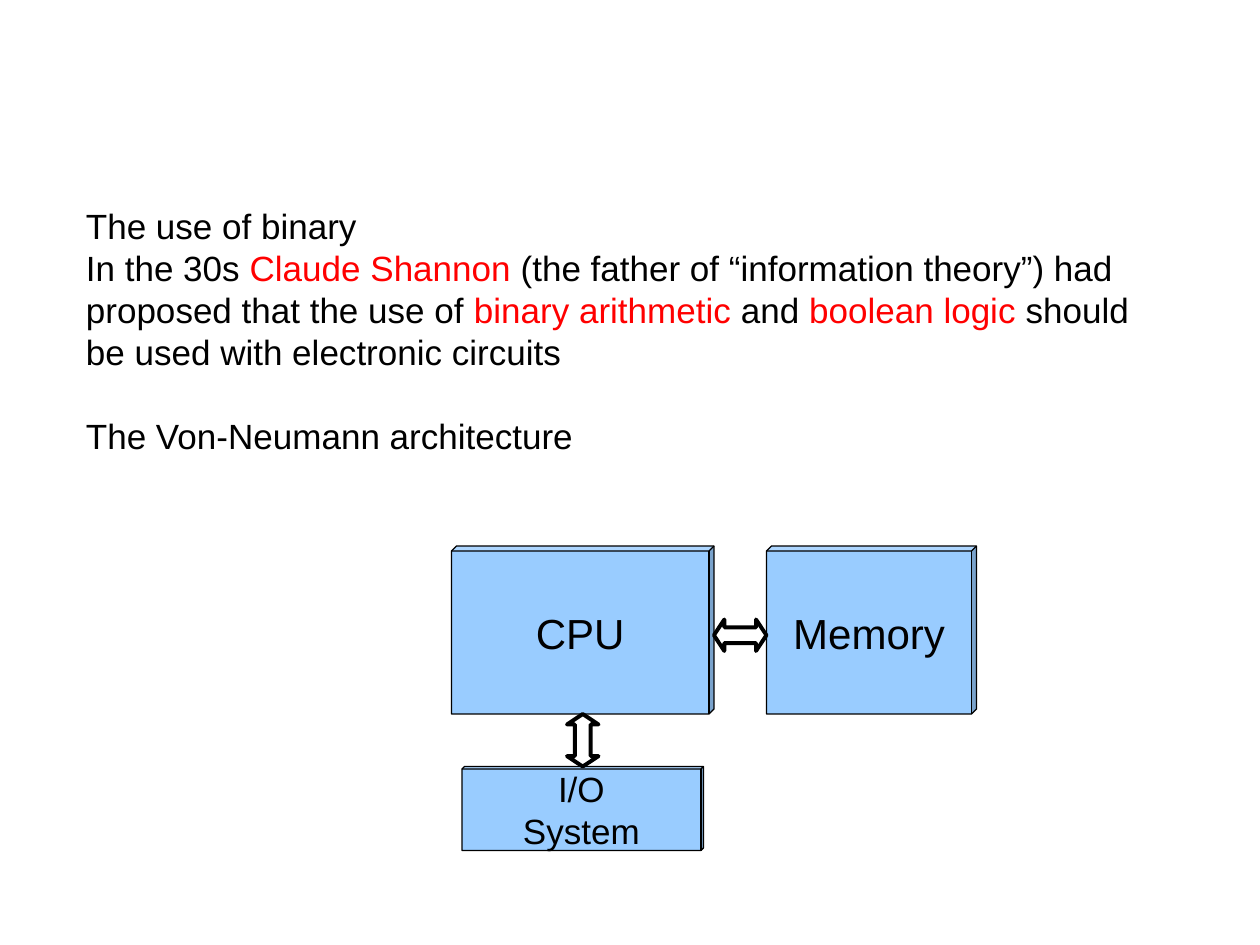
from dataclasses import dataclass

from pptx import Presentation
from pptx.dml.color import RGBColor
from pptx.enum.shapes import MSO_SHAPE
from pptx.enum.text import MSO_ANCHOR, PP_ALIGN
from pptx.util import Pt

BLACK, RED, BLUE = "000000", "FF0000", "99CCFF"


@dataclass
class Block:
    lines: list[str]
    left: float
    top: float
    width: float
    height: float
    size: float


@dataclass
class Arrow:
    left: float
    top: float
    rotation: float = 0


def rgb(value: str) -> RGBColor:
    return RGBColor.from_string(value)


def add_run(p, text: str, size: float, color: str = BLACK) -> None:
    r = p.add_run()
    r.text = text
    for name, value in {"name": "Arial", "size": Pt(size)}.items():
        setattr(r.font, name, value)
    r.font.color.rgb = rgb(color)


def add_outlined(s, kind, left: float, top: float, width: float,
                 height: float, line: float):
    sp = s.shapes.add_shape(kind, Pt(left), Pt(top), Pt(width), Pt(height))
    sp.shadow.inherit = False
    sp.line.color.rgb = rgb(BLACK)
    sp.line.width = Pt(line)
    return sp


def add_block(s, block: Block) -> None:
    sp = add_outlined(s, MSO_SHAPE.CUBE, block.left, block.top,
                      block.width, block.height, 0.75)
    sp.adjustments[0] = 0.03
    sp.fill.solid()
    sp.fill.fore_color.rgb = rgb(BLUE)
    tf = sp.text_frame
    tf.word_wrap = False
    tf.vertical_anchor = MSO_ANCHOR.MIDDLE
    for i, line in enumerate(block.lines):
        p = tf.add_paragraph() if i else tf.paragraphs[0]
        p.alignment = PP_ALIGN.CENTER
        add_run(p, line, block.size)


def add_arrow(s, arrow: Arrow) -> None:
    sp = add_outlined(s, MSO_SHAPE.LEFT_RIGHT_ARROW, arrow.left, arrow.top,
                      30, 18, 2.25)
    sp.adjustments[0], sp.adjustments[1] = 0.5, 0.33
    sp.rotation = arrow.rotation
    sp.fill.background()


def add_body(s, paragraphs: list) -> None:
    tf = s.shapes.add_textbox(Pt(42), Pt(78), Pt(624), Pt(222)).text_frame
    tf.word_wrap = True
    tf.vertical_anchor = MSO_ANCHOR.MIDDLE
    for i, (space_before, runs) in enumerate(paragraphs):
        p = tf.add_paragraph() if i else tf.paragraphs[0]
        p.space_before = Pt(space_before)
        for text, color in runs:
            add_run(p, text, 20, color)


# Space before each paragraph, then its coloured runs
BODY = [
    (0, [("The use of binary", BLACK)]),
    (0, [("In the 30s ", BLACK),
         ("Claude Shannon", RED),
         (" (the father of “information theory”) had proposed that the use of ", BLACK),
         ("binary arithmetic", RED),
         (" and ", BLACK),
         ("boolean logic", RED),
         (" should be used with electronic circuits", BLACK)]),
    (24, [("The Von-Neumann architecture", BLACK)]),
]

BLOCKS = [
    Block(["CPU"], 258, 312, 150, 96, 24),
    Block(["Memory"], 438, 312, 120, 96, 24),
    Block(["I/O", "System"], 264, 438, 138, 48, 20),
]

ARROWS = [Arrow(408, 354), Arrow(318, 414, 270)]


def main() -> None:
    prs = Presentation()
    prs.slide_width, prs.slide_height = Pt(720), Pt(540)
    s = prs.slides.add_slide(prs.slide_layouts[6])

    # Explanatory text
    add_body(s, BODY)

    # Architecture diagram
    for block in BLOCKS:
        add_block(s, block)
    for arrow in ARROWS:
        add_arrow(s, arrow)

    prs.save("out.pptx")


if __name__ == "__main__":
    main()
